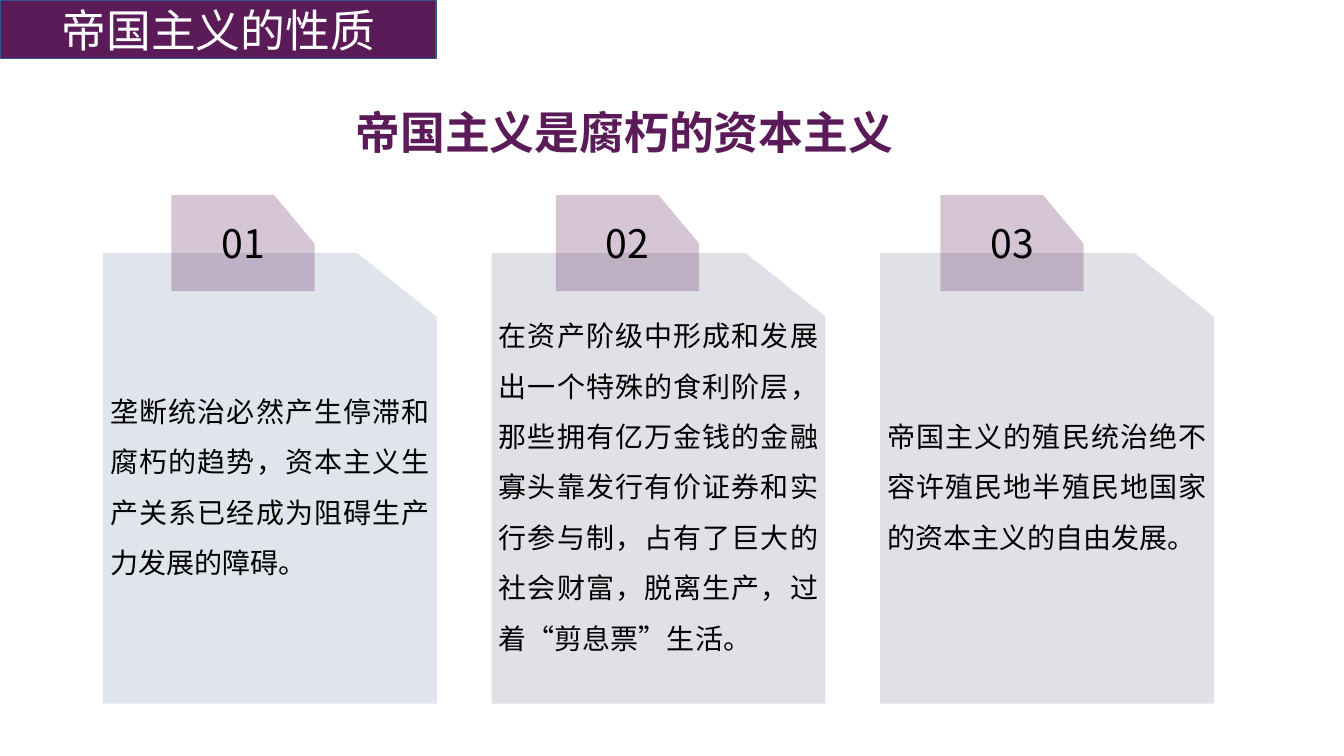
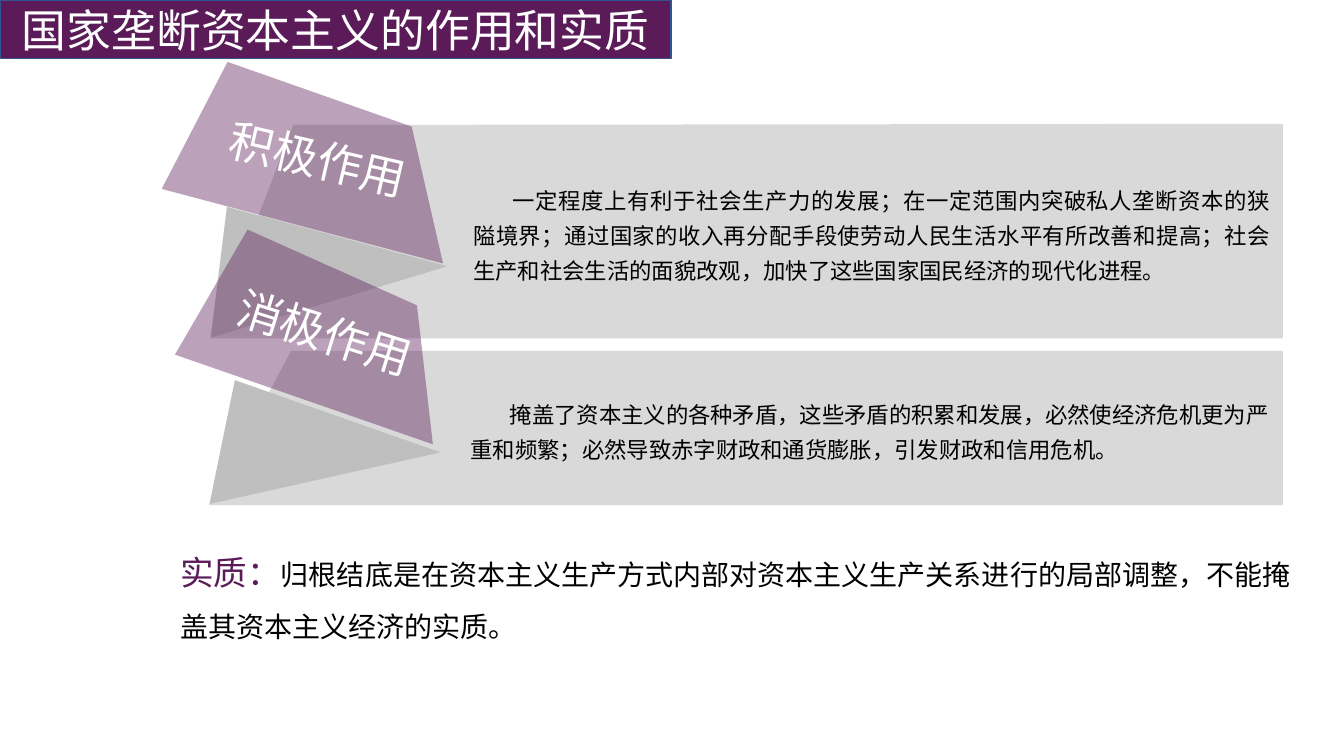
from math import cos, radians, sin

from lxml.etree import SubElement
from pptx import Presentation
from pptx.dml.color import RGBColor
from pptx.enum.text import MSO_ANCHOR, MSO_AUTO_SIZE, PP_ALIGN
from pptx.oxml.ns import qn
from pptx.util import Cm, Pt

# Shared look
FONT = "Noto Sans CJK SC"
PURPLE = RGBColor(0x5A, 0x1B, 0x58)
BLUE_EDGE = RGBColor(0x32, 0x54, 0x91)
WHITE = RGBColor(0xFF, 0xFF, 0xFF)
BLACK = RGBColor(0, 0, 0)
CARD_BLUE = RGBColor(0x84, 0x97, 0xB0)
CARD_GREY = RGBColor(0xC0, 0xC2, 0xCC)
PANEL_GREY = RGBColor(0xD9, 0xD9, 0xD9)
FOLD_GREY = RGBColor(0xBF, 0xBF, 0xBF)

# Slide 1: card text, card colour, opacity in percent
CARDS = [
    ("垄断统治必然产生停滞和腐朽的趋势，资本主义生产关系已经成为阻碍生产力发展的障碍。",
     CARD_BLUE, 25),
    ("在资产阶级中形成和发展出一个特殊的食利阶层，那些拥有亿万金钱的金融寡头靠发行有价证券"
     "和实行参与制，占有了巨大的社会财富，脱离生产，过着“剪息票”生活。",
     CARD_GREY, 48),
    ("帝国主义的殖民统治绝不容许殖民地半殖民地国家的资本主义的自由发展。",
     CARD_GREY, 48),
]

# Slide 2: outlines in centimetres, as they lie on the slide
EFFECTS = [
    dict(
        label="积极作用", angle=13.2, align=PP_ALIGN.JUSTIFY,
        text="一定程度上有利于社会生产力的发展；在一定范围内突破私人垄断资本的狭隘境界；"
             "通过国家的收入再分配手段使劳动人民生活水平有所改善和提高；"
             "社会生产和社会生活的面貌改观，加快了这些国家国民经济的现代化进程。",
        panel=[(7.39, 3.15), (32.33, 3.12), (32.33, 8.53), (5.33, 8.53)],
        fold=[(11.28, 6.71), (5.72, 5.21), (5.31, 8.51)],
        ribbon=[(5.77, 1.65), (10.41, 3.28), (11.2, 6.73), (4.11, 4.85)],
    ),
    dict(
        label="消极作用", angle=17.4, align=PP_ALIGN.LEFT,
        text="掩盖了资本主义的各种矛盾，这些矛盾的积累和发展，必然使经济危机更为严重和频繁；"
             "必然导致赤字财政和通货膨胀，引发财政和信用危机。",
        panel=[(7.34, 8.84), (32.33, 8.84), (32.33, 12.73), (5.26, 12.73)],
        fold=[(11.1, 11.4), (5.92, 9.58), (5.28, 12.7)],
        ribbon=[(6.3, 5.94), (10.57, 7.85), (10.97, 11.35), (4.47, 9.09)],
    ),
]


def write(shape, *parts, size=20, color=BLACK, bold=False, align=PP_ALIGN.LEFT,
          anchor=MSO_ANCHOR.MIDDLE, spacing=1.0, indent=0, insets=None, wrap=True):
    """Fill one paragraph; a part is a string or (string, size, color)."""
    frame = shape.text_frame
    frame.auto_size = MSO_AUTO_SIZE.NONE
    frame.word_wrap = wrap
    frame.vertical_anchor = anchor
    if insets:
        (frame.margin_left, frame.margin_top,
         frame.margin_right, frame.margin_bottom) = map(Cm, insets)
    paragraph = frame.paragraphs[0]
    paragraph.alignment = align
    paragraph.line_spacing = spacing
    if indent:
        paragraph._p.get_or_add_pPr().set("indent", str(Cm(indent)))
    for part in parts:
        text, part_size, part_color = (part, size, color) if isinstance(part, str) else part
        run = paragraph.add_run()
        run.text = text
        run.font.size = Pt(part_size)
        run.font.bold = bold
        run.font.color.rgb = part_color
        run.font.name = FONT
        SubElement(run._r.rPr, qn("a:ea"), typeface=FONT)


def rotate(points, degrees, center):
    c, s = cos(radians(degrees)), sin(radians(degrees))
    cx, cy = center
    return [(cx + (x - cx) * c - (y - cy) * s, cy + (x - cx) * s + (y - cy) * c)
            for x, y in points]


def add_outline(slide, points, color, opacity=100, angle=0):
    """Draw a closed outline; an angle tilts its text but keeps the outline in place."""
    if angle:
        center = [(min(axis) + max(axis)) / 2 for axis in zip(*points)]
        points = rotate(points, -angle, center)
    start, *others = [(Cm(x), Cm(y)) for x, y in points]
    builder = slide.shapes.build_freeform(*start)
    builder.add_line_segments(others, close=True)
    outline = builder.convert_to_shape()
    outline.rotation = angle
    outline.shadow.inherit = False
    outline.line.fill.background()
    outline.fill.solid()
    outline.fill.fore_color.rgb = color
    if opacity < 100:
        rgb = outline._element.spPr.find(qn("a:solidFill"))[0]
        SubElement(rgb, qn("a:alpha"), val=str(opacity * 1000))
    return outline


def add_cut_card(slide, left, top, width, height, cut, color, opacity):
    """Draw a rectangle with its top right corner cut off."""
    right, bottom = left + width, top + height
    cut_x, cut_y = cut
    return add_outline(slide, [(left, top), (right - cut_x, top), (right, top + cut_y),
                               (right, bottom), (left, bottom)], color, opacity)


def add_text_box(slide, left, top, width, height, *parts, **text_format):
    box = slide.shapes.add_textbox(Cm(left), Cm(top), Cm(width), Cm(height))
    write(box, *parts, anchor=MSO_ANCHOR.TOP, **text_format)


def add_titled_slide(deck, heading, width):
    """Add a slide whose title placeholder is the purple arrow band."""
    slide = deck.slides.add_slide(deck.slide_layouts[5])
    title = slide.shapes.title
    title.left, title.top, title.width, title.height = Cm(0.02), Cm(0), Cm(width), Cm(1.48)
    geometry = SubElement(title._element.spPr, qn("a:prstGeom"), prst="homePlate")
    SubElement(geometry, qn("a:avLst"))
    title.fill.solid()
    title.fill.fore_color.rgb = PURPLE
    title.line.color.rgb = BLUE_EDGE
    title.line.width = Pt(1)
    write(title, heading, size=32, color=WHITE, align=PP_ALIGN.CENTER,
          insets=(0.25, 0.13, 0.25, 0.13))
    return slide


def build_nature_slide(deck):
    slide = add_titled_slide(deck, "帝国主义的性质", 10.97)
    insets = (0.18, 0.1, 0.18, 0.1)
    # Cards
    for index, (text, color, opacity) in enumerate(CARDS):
        card = add_cut_card(slide, 2.6 + 9.79 * index, 6.38, 8.41, 11.35, (2, 1.6),
                            color, opacity)
        write(card, text, align=PP_ALIGN.JUSTIFY, spacing=1.5, insets=insets)
    # Number tabs
    for index in range(len(CARDS)):
        tab = add_cut_card(slide, 4.32 + 9.69 * index, 4.92, 3.61, 2.42, (1.02, 1.22),
                           PURPLE, 25)
        write(tab, f"{index + 1:02}", size=28, align=PP_ALIGN.CENTER, insets=insets)
    # Statement
    add_text_box(slide, 8.71, 2.51, 14.2, 1.62, "帝国主义是腐朽的资本主义",
                 size=32, color=PURPLE, bold=True, wrap=False)


def build_effects_slide(deck):
    slide = add_titled_slide(deck, "国家垄断资本主义的作用和实质", 16.89)
    # Panels with folded ribbons
    for effect in EFFECTS:
        panel = add_outline(slide, effect["panel"], PANEL_GREY)
        write(panel, effect["text"], size=16, align=effect["align"], spacing=Pt(25),
              indent=0.99, insets=(6.6, 0.2, 0.3, 0.2))
        add_outline(slide, effect["fold"], FOLD_GREY)
        ribbon = add_outline(slide, effect["ribbon"], PURPLE, 41, effect["angle"])
        write(ribbon, effect["label"], size=32, color=WHITE, align=PP_ALIGN.CENTER,
              insets=(0, 0, 0, 0))
    # Essence
    add_text_box(slide, 4.29, 13.28, 29.01, 3.07, ("实质：", 24, PURPLE),
                 "归根结底是在资本主义生产方式内部对资本主义生产关系进行的局部调整，"
                 "不能掩盖其资本主义经济的实质。", spacing=1.5)


def main():
    deck = Presentation()
    deck.slide_width, deck.slide_height = Cm(33.87), Cm(19.05)
    build_nature_slide(deck)
    build_effects_slide(deck)
    deck.save("out.pptx")


if __name__ == "__main__":
    main()
